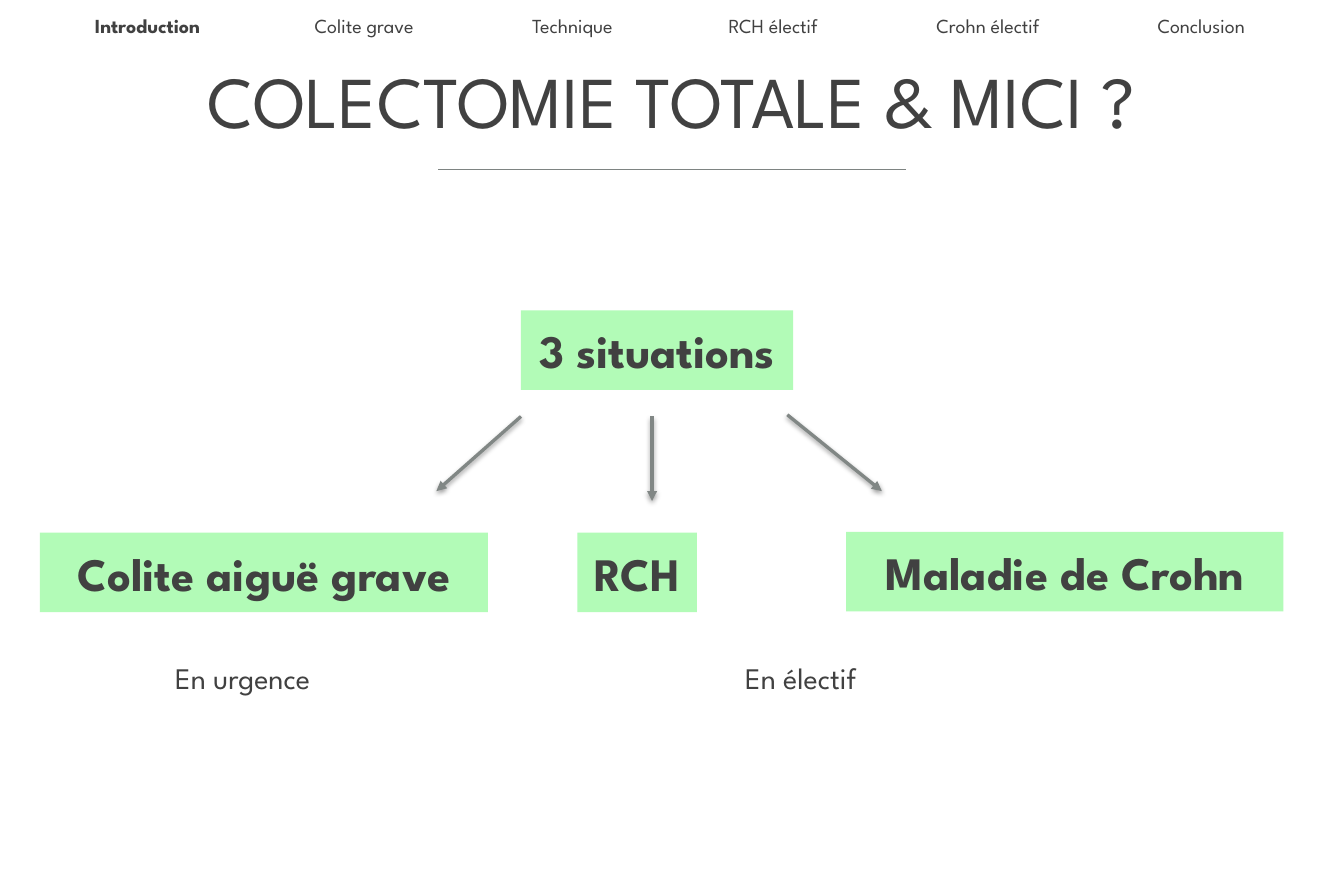
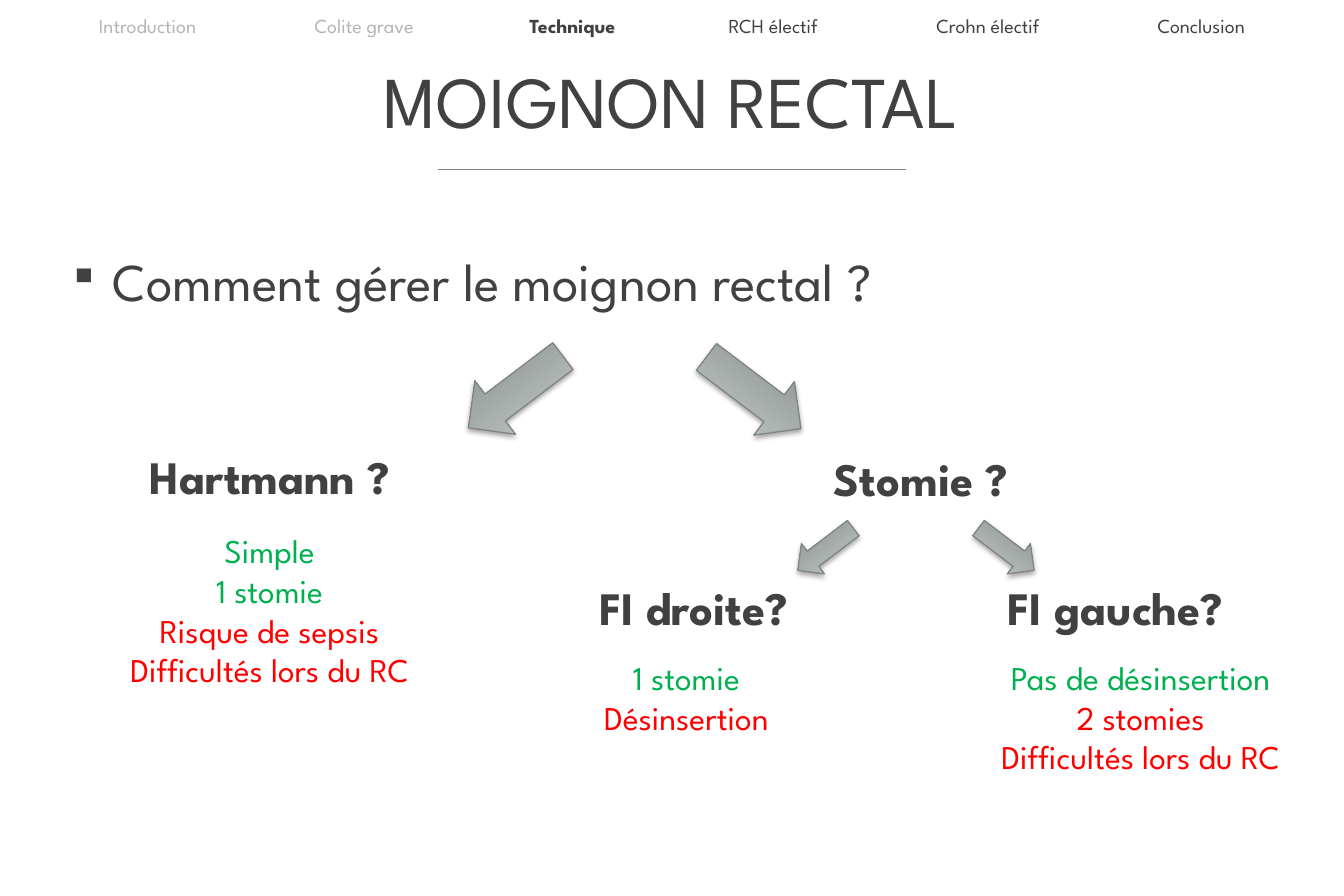
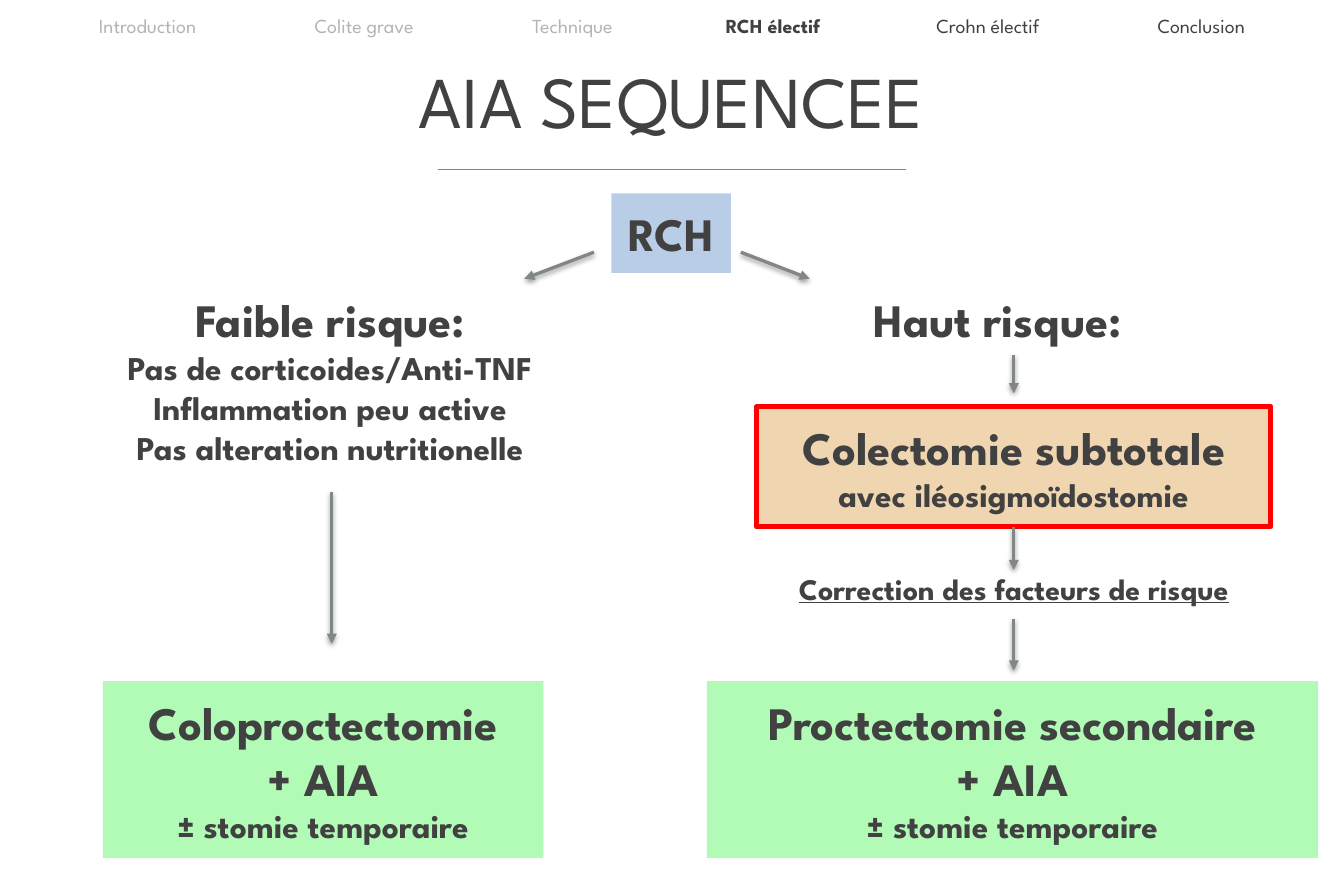
from dataclasses import dataclass
from typing import Optional

from lxml import etree
from pptx import Presentation
from pptx.dml.color import RGBColor
from pptx.enum.shapes import MSO_CONNECTOR, MSO_SHAPE
from pptx.enum.text import MSO_ANCHOR, MSO_AUTO_SIZE, PP_ALIGN
from pptx.oxml.ns import qn
from pptx.util import Pt

STRAIGHT = MSO_CONNECTOR.STRAIGHT
RECTANGLE, RIGHT_ARROW = MSO_SHAPE.RECTANGLE, MSO_SHAPE.RIGHT_ARROW
LEFT, CENTER = PP_ALIGN.LEFT, PP_ALIGN.CENTER
TOP, MIDDLE = MSO_ANCHOR.TOP, MSO_ANCHOR.MIDDLE
GROW = MSO_AUTO_SIZE.SHAPE_TO_FIT_TEXT
BOTTOM_SIDE = 2

# Shared style
FONT = "League Spartan"
DARK, PAST, RULE, ARROW = "414141", "B4B4B4", "7E8482", "818785"
GREEN_BOX, BLUE_BOX, SAND_BOX = "B2FBB7", "B9CEE6", "F0D5B1"
PRO, CON = "00B050", "FF0000"
GRADIENT = ("808885", "CBD1CF")
BOX_H, HEADING_H = 48, 41
INSET = 7.2

# Navigation band: label, left, width
SECTIONS = (
    ("Introduction", 46, 86),
    ("Colite grave", 176, 87),
    ("Technique", 307, 76),
    ("RCH électif", 426, 80),
    ("Crohn électif", 550, 91),
    ("Conclusion", 684, 80),
)


@dataclass(frozen=True)
class Line:
    text: str
    size: float = 28
    color: str = DARK
    bold: bool = True
    underline: bool = False


@dataclass(frozen=True)
class Block:
    left: float
    top: float
    width: float
    height: float
    lines: tuple
    fill: Optional[str] = None
    border: Optional[str] = None
    align: PP_ALIGN = CENTER
    anchor: MSO_ANCHOR = MIDDLE
    inset: float = INSET


@dataclass(frozen=True)
class Arrow:
    x1: float
    y1: float
    x2: float
    y2: float


@dataclass(frozen=True)
class BlockArrow:
    left: float
    top: float
    width: float
    height: float
    to_left: bool


def rgb(value: str) -> RGBColor:
    return RGBColor.from_string(value)


def add_run(paragraph, line: Line) -> None:
    run = paragraph.add_run()
    run.text = line.text
    font = run.font
    font.name, font.size, font.bold = FONT, Pt(line.size), line.bold
    font.color.rgb = rgb(line.color)
    if line.underline:
        font.underline = True


def add_effects(shape, opacity: int = 0, distance: float = 0) -> None:
    """Give a shape a soft drop shadow, or none when opacity is zero."""
    effects = etree.SubElement(shape.element.spPr, qn("a:effectLst"))
    if opacity:
        outer = etree.SubElement(
            effects, qn("a:outerShdw"), blurRad=str(Pt(3.1)),
            dist=str(Pt(distance)), dir="5400000", rotWithShape="0")
        black = etree.SubElement(outer, qn("a:srgbClr"), val="000000")
        etree.SubElement(black, qn("a:alpha"), val=str(opacity * 1000))


def add_line(slide, line: Arrow, color: str, width: float):
    connector = slide.shapes.add_connector(
        STRAIGHT, Pt(line.x1), Pt(line.y1), Pt(line.x2), Pt(line.y2))
    connector.line.color.rgb = rgb(color)
    connector.line.width = Pt(width)
    return connector


def add_arrow(slide, arrow: Arrow, source=None) -> None:
    connector = add_line(slide, arrow, ARROW, 2)
    if source is not None:
        connector.begin_connect(source, BOTTOM_SIDE)
    etree.SubElement(connector.line._get_or_add_ln(), qn("a:tailEnd"), type="triangle")
    add_effects(connector, 38, 1.6)


def add_block(slide, block: Block):
    area = (Pt(block.left), Pt(block.top), Pt(block.width), Pt(block.height))
    if block.fill:
        shape = slide.shapes.add_shape(RECTANGLE, *area)
        shape.shadow.inherit = False
        shape.fill.solid()
        shape.fill.fore_color.rgb = rgb(block.fill)
        if block.border:
            shape.line.color.rgb = rgb(block.border)
            shape.line.width = Pt(3)
        else:
            shape.line.fill.background()
    else:
        shape = slide.shapes.add_textbox(*area)
    frame = shape.text_frame
    frame.word_wrap, frame.auto_size = False, GROW
    frame.vertical_anchor = block.anchor
    frame.margin_left = frame.margin_right = Pt(INSET)
    frame.margin_top = frame.margin_bottom = Pt(block.inset)
    for index, line in enumerate(block.lines):
        paragraph = frame.add_paragraph() if index else frame.paragraphs[0]
        paragraph.alignment = block.align
        add_run(paragraph, line)
    return shape


def label(left: float, top: float, width: float, height: float, line: Line) -> Block:
    """A left-aligned caption hanging from its top edge."""
    return Block(left, top, width, height, (line,), align=LEFT, anchor=TOP, inset=3.6)


def verdict(left: float, top: float, width: float, height: float,
            pros: tuple, cons: tuple) -> Block:
    """Advantages in green, then drawbacks in red."""
    lines = tuple(Line(text, 20, color, False)
                  for color, texts in ((PRO, pros), (CON, cons)) for text in texts)
    return Block(left, top, width, height, lines, anchor=TOP, inset=3.6)


def add_block_arrow(slide, arrow: BlockArrow) -> None:
    shape = slide.shapes.add_shape(
        RIGHT_ARROW, Pt(arrow.left), Pt(arrow.top), Pt(arrow.width), Pt(arrow.height))
    shape.rotation = 142.8 if arrow.to_left else 37.2
    shape.fill.gradient()
    shape.fill.gradient_angle = 90 if arrow.to_left else 270
    for stop, color in zip(shape.fill.gradient_stops, GRADIENT):
        stop.color.rgb = rgb(color)
    shape.line.color.rgb = rgb(RULE)
    shape.line.width = Pt(0.75)
    add_effects(shape, 35, 1.8)


def add_question(slide, text: str) -> None:
    """The bulleted question under the title."""
    box = slide.shapes.add_textbox(Pt(34), Pt(129.5), Pt(728.5), Pt(78.5))
    frame = box.text_frame
    frame.word_wrap, frame.vertical_anchor = True, MIDDLE
    paragraph = frame.paragraphs[0]
    properties = paragraph._p.get_or_add_pPr()
    properties.set("marL", str(Pt(27)))
    properties.set("indent", str(Pt(-27)))
    color = etree.SubElement(properties, qn("a:buClr"))
    etree.SubElement(color, qn("a:srgbClr"), val=DARK)
    etree.SubElement(properties, qn("a:buSzPct"), val="80000")
    etree.SubElement(properties, qn("a:buChar"), char="▪")
    add_run(paragraph, Line(text, 32, bold=False))


def start_slide(deck, title_text: str, current: int):
    """Title, rule and navigation band with the current section in bold."""
    slide = deck.slides.add_slide(deck.slide_layouts[5])
    title = slide.shapes.title
    title.left, title.top, title.width, title.height = Pt(40.5), Pt(15), Pt(728.5), Pt(90)
    title.text_frame.vertical_anchor = MIDDLE
    heading = title.text_frame.paragraphs[0]
    heading.alignment = CENTER
    add_run(heading, Line(title_text, 44, bold=False))
    add_effects(add_line(slide, Arrow(264, 102, 546, 102), RULE, 0.75))
    for index, (name, left, width) in enumerate(SECTIONS):
        color = PAST if index < current else DARK
        section = Line(name, 12, color, index == current)
        add_block(slide, Block(left, 4.5, width, 21.6, (section,), inset=3.6))
    return slide


def build_situations(deck) -> None:
    slide = start_slide(deck, "COLECTOMIE TOTALE & MICI ?", 0)
    for name, left, top, width in (
        ("3 situations", 314, 187, 164),
        ("Colite aiguë grave", 24, 321, 270),
        ("RCH", 348, 321, 72),
        ("Maladie de Crohn", 510, 320.5, 263.5),
    ):
        add_block(slide, Block(left, top, width, BOX_H, (Line(name),), GREEN_BOX))
    for arrow in (Arrow(314, 251, 263, 296), Arrow(393, 251, 393, 302),
                  Arrow(474.5, 250, 531.5, 296)):
        add_arrow(slide, arrow)
    for timing, left, width in (("En urgence", 98.5, 116), ("En électif", 442, 95)):
        add_block(slide, label(left, 394, width, 29, Line(timing, 18, bold=False)))


def build_stump(deck) -> None:
    slide = start_slide(deck, "MOIGNON RECTAL", 2)
    add_question(slide, "Comment gérer le moignon rectal ?")
    for arrow in (
        BlockArrow(275, 216, 71.5, 40.5, True),
        BlockArrow(418.5, 216.5, 71.5, 40.5, False),
        BlockArrow(476.5, 319.5, 42, 23, True),
        BlockArrow(585.5, 319.5, 42, 23, False),
    ):
        add_block_arrow(slide, arrow)
    for option, left, top, width in (
        ("Hartmann ?", 83, 266.5, 176.5),
        ("Stomie ?", 495.5, 268, 132),
        ("FI droite?", 354, 345.5, 139),
        ("FI gauche?", 600, 345.5, 167),
    ):
        add_block(slide, label(left, top, width, HEADING_H, Line(option)))
    for block in (
        verdict(57.5, 316, 210, 104.5, ("Simple", "1 stomie"),
                ("Risque de sepsis", "Difficultés lors du RC")),
        verdict(348.5, 392.5, 130.5, 55.5, ("1 stomie",), ("Désinsertion",)),
        verdict(582.5, 392.5, 210, 80, ("Pas de désinsertion",),
                ("2 stomies", "Difficultés lors du RC")),
    ):
        add_block(slide, block)


def build_sequence(deck) -> None:
    slide = start_slide(deck, "AIA SEQUENCEE", 3)
    outcome = (Line("+ AIA"), Line("± stomie temporaire", 20))
    add_block(slide, Block(368.5, 116.5, 72, BOX_H, (Line("RCH"),), BLUE_BOX))
    add_arrow(slide, Arrow(358, 152, 316, 168))
    add_arrow(slide, Arrow(446.5, 152, 488, 168))

    # Low risk branch
    add_block(slide, Block(57.5, 168, 283, 121, (
        Line("Faible risque:"),
        Line("Pas de corticoides/Anti-TNF", 20),
        Line("Inflammation peu active", 20),
        Line("Pas alteration nutritionelle", 20))))
    add_arrow(slide, Arrow(200, 296.5, 200, 388))
    add_block(slide, Block(62, 410.5, 265.5, 106.5,
                           (Line("Coloproctectomie"), *outcome), GREEN_BOX))

    # High risk branch
    axis = 611
    add_block(slide, Block(513.5, 168, 175.5, BOX_H, (Line("Haut risque:"),)))
    add_arrow(slide, Arrow(axis, 214, axis, 237))
    colectomy = add_block(slide, Block(456, 245, 310, 72.5, (
        Line("Colectomie subtotale"),
        Line("avec iléosigmoïdostomie", 20)), SAND_BOX, CON))
    add_arrow(slide, Arrow(axis, 317.5, axis, 343.5), colectomy)
    correction = add_block(slide, Block(458, 337, 306, 36, (
        Line("Correction des facteurs de risque", 18, underline=True),)))
    add_arrow(slide, Arrow(axis, 373, axis, 404), correction)
    add_block(slide, Block(426, 410.5, 368.5, 106.5,
                           (Line("Proctectomie secondaire"), *outcome), GREEN_BOX))


def main() -> None:
    deck = Presentation()
    deck.slide_width, deck.slide_height = Pt(810), Pt(540)
    build_situations(deck)
    build_stump(deck)
    build_sequence(deck)
    deck.save("out.pptx")


if __name__ == "__main__":
    main()
